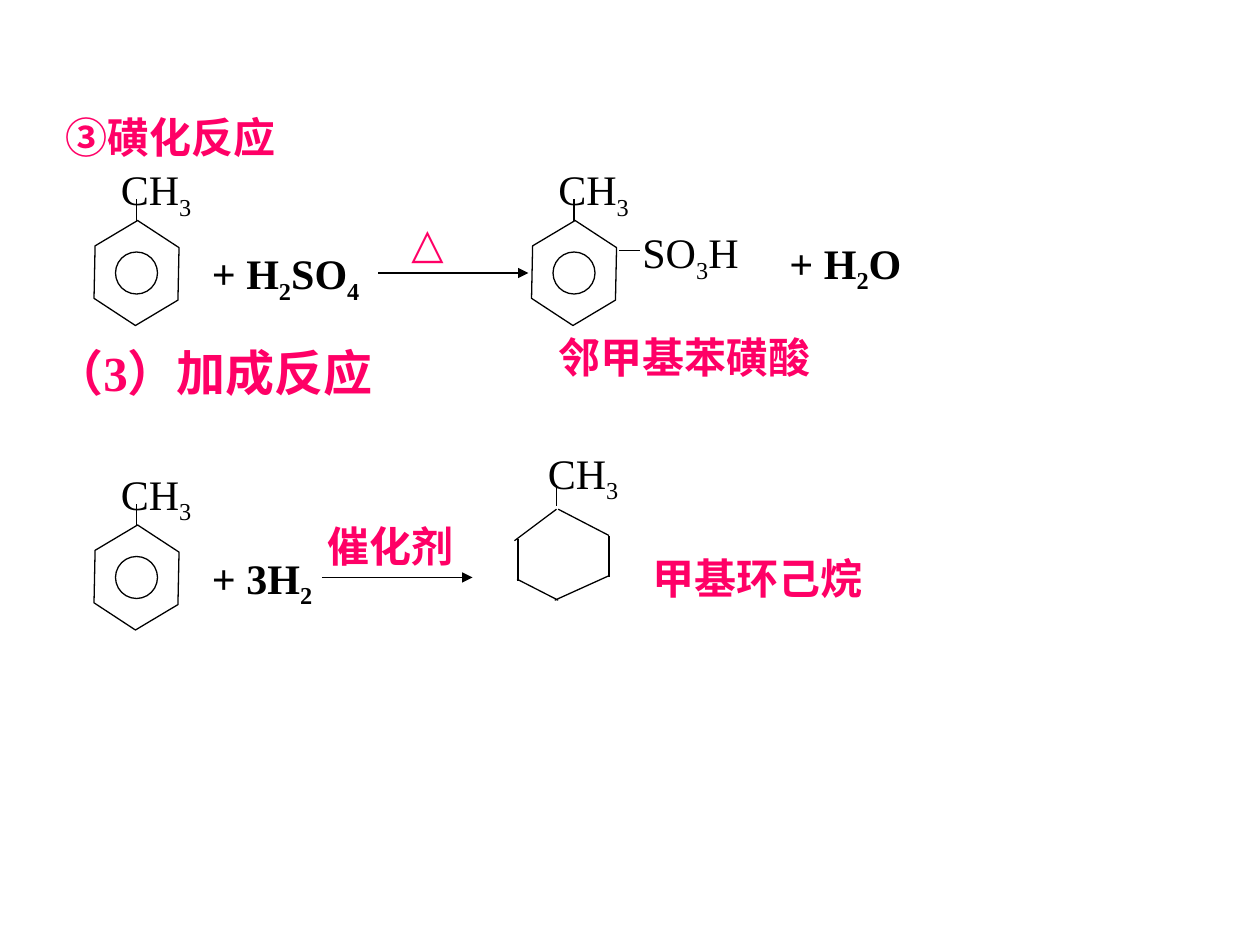
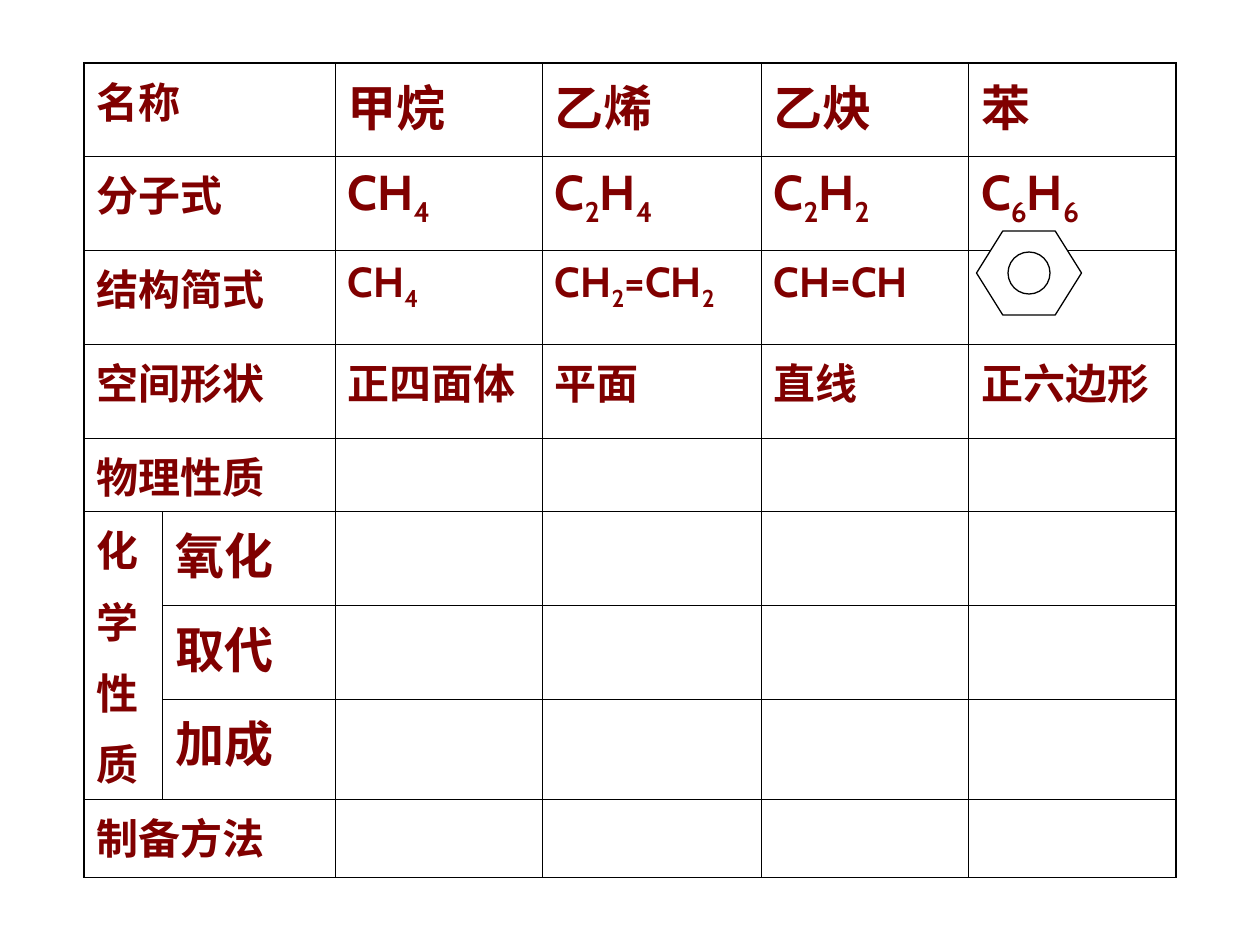
import dataclasses
import itertools

import pptx
import pptx.dml.color
import pptx.enum.shapes
import pptx.enum.text
import pptx.oxml.ns
import pptx.util
from lxml import etree

Pt = pptx.util.Pt
RGB = pptx.dml.color.RGBColor
qn = pptx.oxml.ns.qn
SHAPES = pptx.enum.shapes.MSO_SHAPE


@dataclasses.dataclass(frozen=True)
class Theme:
    ink: str = "000000"
    paper: str = "FFFFFF"
    accent: str = "FF0066"
    table_text: str = "800000"
    formula_font: str = "Times New Roman"
    table_font: str = "Cabin"
    medium: int = 24
    large: int = 28
    line: float = 0.75
    grid: float = 0.45
    frame: float = 1.08


THEME = Theme()


def write_text(frame, text, size=THEME.medium, font=THEME.formula_font,
               color=THEME.ink, bold=False, gap=0):
    """Fill a text frame; a digit right after a Latin letter becomes a subscript."""
    frame.word_wrap = True
    for index, line in enumerate(text.split("\n")):
        paragraph = frame.add_paragraph() if index else frame.paragraphs[0]
        paragraph.alignment = pptx.enum.text.PP_ALIGN.LEFT
        paragraph.space_before = Pt(gap if index else 0)
        marked = [(char, char.isdigit() and before.isascii() and before.isalpha())
                  for before, char in zip(" " + line, line)]
        for lowered, chars in itertools.groupby(marked, key=lambda pair: pair[1]):
            run = paragraph.add_run()
            run.text = "".join(char for char, _ in chars)
            run.font.size = Pt(size)
            run.font.name = font
            run.font.bold = bold
            run.font.color.rgb = RGB.from_string(color)
            if lowered:
                run._r.get_or_add_rPr().set("baseline", "-25000")


def draw_benzene(slide, left, top, rotation=0):
    for preset, x, y, width, height in [
        (SHAPES.HEXAGON, left, top, 60, 48),
        (SHAPES.OVAL, left + 18, top + 12, 24, 24),
    ]:
        part = slide.shapes.add_shape(preset, Pt(x), Pt(y), Pt(width), Pt(height))
        part.shadow.inherit = False
        part.fill.solid()
        part.fill.fore_color.rgb = RGB.from_string(THEME.paper)
        part.line.color.rgb = RGB.from_string(THEME.ink)
        part.line.width = Pt(THEME.line)
        if preset == SHAPES.HEXAGON:
            part.adjustments[0] = 0.3125
            part.rotation = rotation


presentation = pptx.Presentation()
presentation.slide_width = Pt(720)
presentation.slide_height = Pt(540)
title_only, blank = presentation.slide_layouts[5], presentation.slide_layouts[6]

# Slide 1: sulfonation and addition reactions of toluene
reactions = presentation.slides.add_slide(title_only)
heading = reactions.shapes.title
heading.left, heading.top, heading.width, heading.height = Pt(30), Pt(60), Pt(162), Pt(36)
heading.text_frame.auto_size = pptx.enum.text.MSO_AUTO_SIZE.NONE
heading.text_frame.vertical_anchor = pptx.enum.text.MSO_ANCHOR.TOP
write_text(heading.text_frame, "③磺化反应", color=THEME.accent, bold=True)

plain = {}
reagent = {"bold": True}
note = {"bold": True, "color": THEME.accent}
section = {**note, "size": THEME.large}

labels = [
    ("+ H2SO4", 114, 138, 114, 40, reagent),
    ("SO3H", 360, 126, 84, 40, plain),
    ("+ H2O", 444, 132, 132, 40, reagent),
    ("△", 228, 120, 54, 36, note),
    ("邻甲基苯磺酸", 312, 186, 198, 36, note),
    ("（3）加成反应", 24, 192, 204, 75, section),
    ("+ 3H2", 114, 312, 90, 40, reagent),
    ("催化剂", 180, 294, 90, 36, note),
    ("CH3", 306, 252, 60, 40, plain),
    ("甲基环己烷", 366, 312, 168, 36, note),
]
bonds = [
    (354, 143, 366, 143),        # ring to SO3H
    (318, 277, 318, 289),        # cyclohexane to CH3
    (318, 291, 294, 309),        # cyclohexane sides
    (296, 308, 296, 332),
    (319, 291, 348, 306),
    (348, 306, 348, 330),
    (295.5, 331, 319, 343),
    (348, 329, 317, 343),
]
arrows = [(216, 156, 302, 156), (184, 330, 270, 330)]

for left, top in [(48, 132), (298, 132), (48, 306)]:
    draw_benzene(reactions, left, top, rotation=91.2)
    labels.append(("CH3", left + 14, top - 42, 72, 40, plain))
    bonds.append((left + 30, top - 18, left + 30, top - 6))

for text, left, top, width, height, text_format in labels:
    label = reactions.shapes.add_textbox(Pt(left), Pt(top), Pt(width), Pt(height))
    write_text(label.text_frame, text, **text_format)

for ends in bonds + arrows:
    stroke = reactions.shapes.add_connector(
        pptx.enum.shapes.MSO_CONNECTOR.STRAIGHT, *[Pt(value) for value in ends])
    stroke.line.color.rgb = RGB.from_string(THEME.ink)
    stroke.line.width = Pt(THEME.line)
    if ends in arrows:
        etree.SubElement(stroke.line._get_or_add_ln(), qn("a:tailEnd"), type="triangle")
    etree.SubElement(stroke._element.spPr, qn("a:effectLst"))

# Slide 2: comparison of four hydrocarbons
comparison = presentation.slides.add_slide(blank)
column_widths = [45, 98.5, 118.5, 125, 118.5, 118.5]
row_heights = [53.6] * 4 + [41.2] + [53.6] * 3 + [44.6]
entries = [
    ["名称", "", "甲烷", "乙烯", "乙炔", "苯"],
    ["分子式", "", "CH4", "C2H4", "C2H2", "C6H6"],
    ["结构简式", "", "CH4", "CH2=CH2", "CH=CH", ""],
    ["空间形状", "", "正四面体", "平面", "直线", "正六边形"],
    ["物理性质"],
    ["化\n学\n性\n质", "氧化"],
    ["", "取代"],
    ["", "加成"],
    ["制备方法"],
]
large_rows = {0, 1, 5, 6, 7}
reaction_rows = range(5, 8)
last_row, last_column = len(row_heights) - 1, len(column_widths) - 1

table = comparison.shapes.add_table(
    len(row_heights), len(column_widths), Pt(48), Pt(36),
    Pt(sum(column_widths)), Pt(sum(row_heights))).table
table.first_row = table.horz_banding = False
for column, width in zip(table.columns, column_widths):
    column.width = Pt(width)
for row, height in zip(table.rows, row_heights):
    row.height = Pt(height)

for r, c in itertools.product(range(len(row_heights)), range(len(column_widths))):
    cell = table.cell(r, c)
    outer_edges = {"a:lnL": c == 0, "a:lnR": c == last_column,
                   "a:lnT": r == 0, "a:lnB": r == last_row}
    for tag, outer in outer_edges.items():
        weight = Pt(THEME.frame if outer else THEME.grid)
        edge = etree.SubElement(cell._tc.get_or_add_tcPr(), qn(tag), w=str(int(weight)))
        edge_fill = etree.SubElement(edge, qn("a:solidFill"))
        etree.SubElement(edge_fill, qn("a:srgbClr"), val=THEME.ink)
    cell.fill.background()
    if c < len(entries[r]) and entries[r][c]:
        size = THEME.large if c and r in large_rows else THEME.medium
        write_text(cell.text_frame, entries[r][c], size=size, font=THEME.table_font,
                   color=THEME.table_text, bold=True, gap=6)

for r in range(len(row_heights)):
    if r not in reaction_rows:
        table.cell(r, 0).merge(table.cell(r, 1))
table.cell(reaction_rows[0], 0).merge(table.cell(reaction_rows[-1], 0))

draw_benzene(comparison, 558, 132)

presentation.save("out.pptx")
